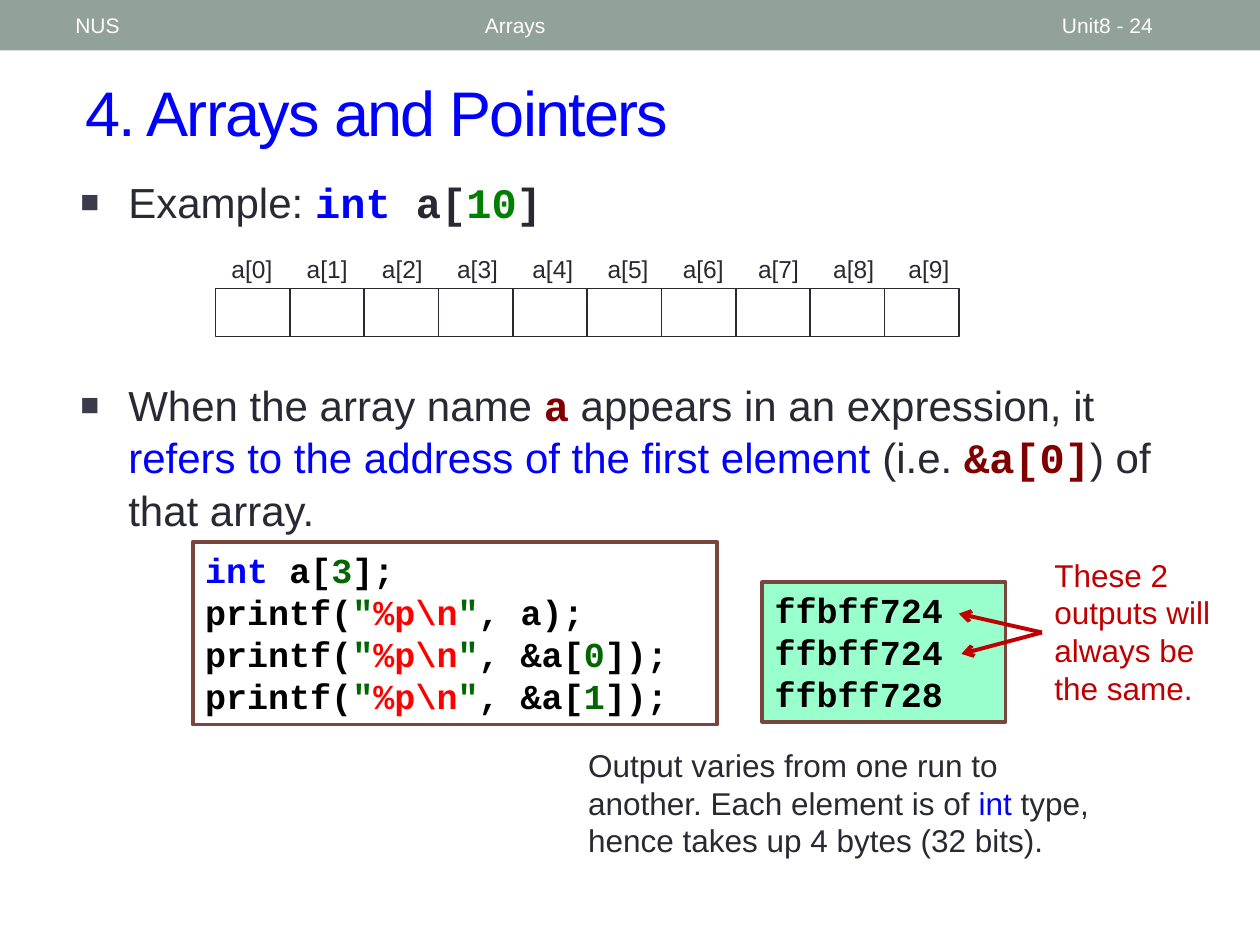
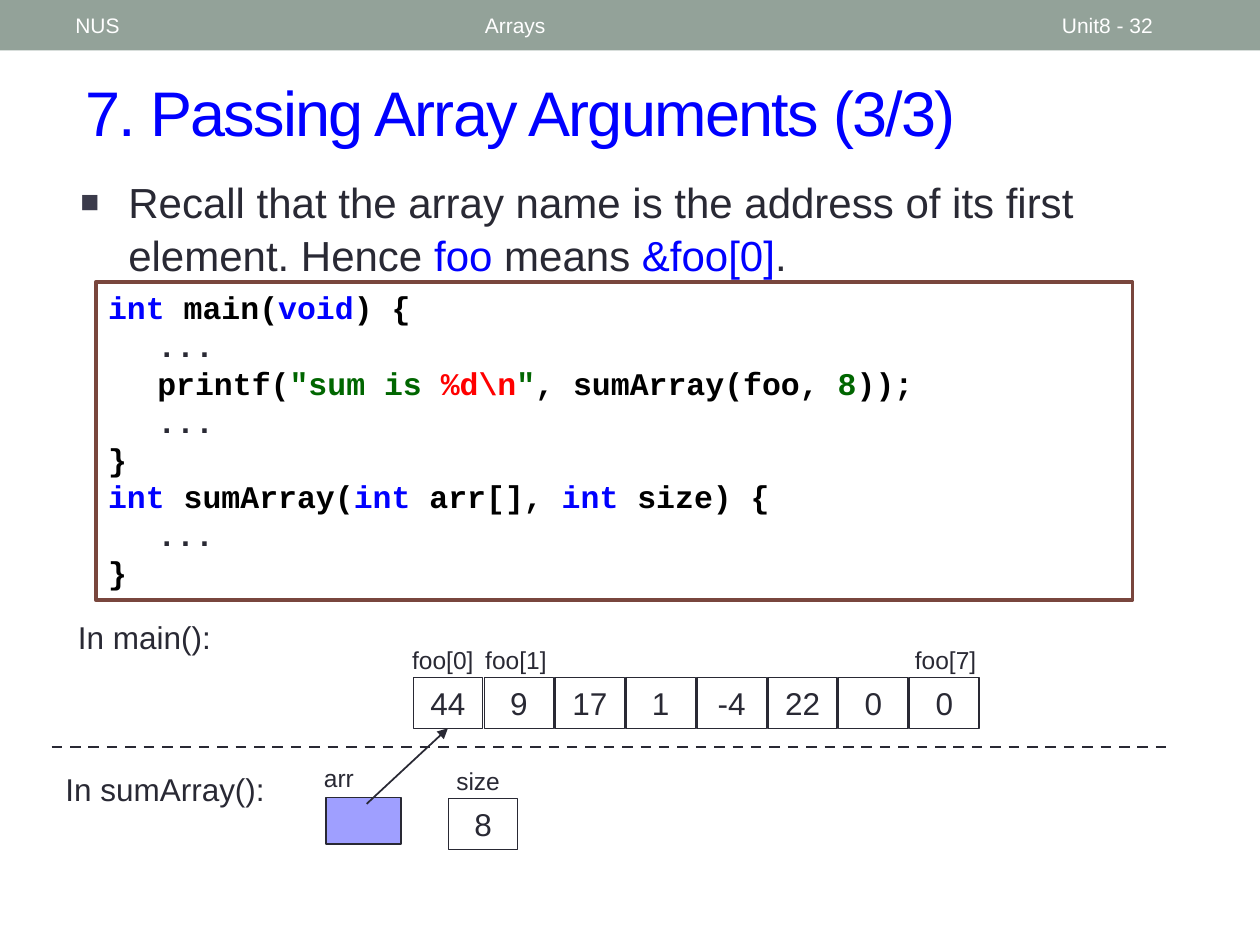
from lxml.etree import SubElement
from pptx import Presentation
from pptx.dml.color import RGBColor
from pptx.enum.dml import MSO_LINE_DASH_STYLE as DASH
from pptx.enum.shapes import MSO_CONNECTOR, MSO_SHAPE
from pptx.enum.text import MSO_ANCHOR as ANCHOR, PP_ALIGN as ALIGN
from pptx.oxml.ns import qn
from pptx.util import Inches, Pt

INK, BLUE, WHITE, BLACK = "292934", "0000FF", "FFFFFF", "000000"
BAND, BULLET, FRAME = "93A299", "3B3B4B", "79463D"
GREEN, LIME, RED, MAROON, CRIMSON = "006600", "008000", "FF0000", "800000", "C00000"
MINT, LILAC = "99FFCC", "9F9FFF"
SANS, MONO = "Arial", "Courier New"
BOTTOM = 2


def rgb(value):
    return RGBColor.from_string(value)


def inches(*values):
    return [Inches(v) for v in values]


def add_runs(p, runs, size, color=INK, font=SANS, bold=False):
    """Each run is plain text, (text, color) or (text, color, font); fixed-width runs are bold."""
    for run in runs:
        text, *style = (run,) if isinstance(run, str) else run
        run_color = style[0] if style else color
        run_font = style[1] if len(style) > 1 else font
        r = p.add_run()
        r.text = text
        formats = {"size": Pt(size), "name": run_font, "bold": bold or run_font == MONO}
        for name, value in formats.items():
            setattr(r.font, name, value)
        r.font.color.rgb = rgb(run_color)


def fill_text(sp, paragraphs, size, align=ALIGN.LEFT, anchor=ANCHOR.TOP, wrap=True, tabs=(), **style):
    tf = sp.text_frame
    tf.word_wrap, tf.vertical_anchor = wrap, anchor
    for i, runs in enumerate(paragraphs):
        p = tf.add_paragraph() if i else tf.paragraphs[0]
        if tabs:
            tab_list = SubElement(p._p.get_or_add_pPr(), qn("a:tabLst"))
            for pos in tabs:
                SubElement(tab_list, qn("a:tab"), pos=str(Inches(pos)), algn="l")
        p.alignment = align
        add_runs(p, runs, size, **style)


def add_text(slide, box, runs, size, **style):
    sp = slide.shapes.add_textbox(*inches(*box))
    fill_text(sp, [runs], size, **style)
    return sp


def add_label(slide, box, text):
    add_text(slide, box, [text], 14, align=ALIGN.CENTER, wrap=False)


def add_rect(slide, box, fill=None, line=None, width=1):
    sp = slide.shapes.add_shape(MSO_SHAPE.RECTANGLE, *inches(*box))
    sp.shadow.inherit = False
    if fill:
        sp.fill.solid()
        sp.fill.fore_color.rgb = rgb(fill)
    else:
        sp.fill.background()
    if line:
        sp.line.color.rgb = rgb(line)
        sp.line.width = Pt(width)
    else:
        sp.line.fill.background()
    return sp


def add_line(slide, start, end, color=INK, width=1.0, arrow=None, dash=None):
    cx = slide.shapes.add_connector(MSO_CONNECTOR.STRAIGHT, *inches(*start, *end))
    cx.line.color.rgb = rgb(color)
    cx.line.width = Pt(width)
    if dash:
        cx.line.dash_style = dash
    if arrow:
        SubElement(cx.line._get_or_add_ln(), qn("a:tailEnd"), type=arrow)
    SubElement(cx._element.spPr, qn("a:effectLst"))
    return cx


def add_value_cell(slide, left, top, value):
    sp = add_rect(slide, (left, top, 0.55, 0.4), WHITE, INK, 0.75)
    fill_text(sp, [[value]], 18, align=ALIGN.CENTER, anchor=ANCHOR.MIDDLE)
    return sp


def add_code(slide, box, lines, size, tabs, fill=WHITE):
    sp = add_rect(slide, box, fill, FRAME, 2.08)
    fill_text(sp, lines, size, tabs=tabs, color=BLACK, font=MONO)


def add_bullet(slide, box, runs):
    sp = add_text(slide, box, runs, 24)
    p = sp.text_frame.paragraphs[0]
    p.line_spacing = 1.05
    pPr = p._p.get_or_add_pPr()
    pPr.set("marL", str(Inches(0.38)))
    pPr.set("indent", str(Inches(-0.38)))
    SubElement(SubElement(pPr, qn("a:buClr")), qn("a:srgbClr"), val=BULLET)
    SubElement(pPr, qn("a:buSzPct"), val="75000")
    SubElement(pPr, qn("a:buFont"), typeface=SANS)
    SubElement(pPr, qn("a:buChar"), char="■")


def add_page(prs, title, number):
    """Start a slide with the header band and the title."""
    slide = prs.slides.add_slide(prs.slide_layouts[6])
    add_rect(slide, (0, 0, 10, 0.4), BAND)
    for left, width, text in ((0.5, 3.17, "NUS"), (3.75, 4.5, "Arrays"),
                              (8.33, 1.17, f"Unit8 - {number}")):
        add_text(slide, (left, 0.02, width, 0.36), [text], 12, color=WHITE, anchor=ANCHOR.MIDDLE)
    sp = add_text(slide, (0.58, 0.42, 9.17, 0.92), [title], 36, color=BLUE, anchor=ANCHOR.MIDDLE)
    sp.text_frame.paragraphs[0].runs[0].font._element.set("spc", "-100")
    return slide


def add_index_strip(slide, left, top, count=10):
    for i in range(count):
        add_label(slide, (left + 0.02 + 0.597 * i, top, 0.54, 0.34), f"a[{i}]")
    for i in range(count):
        add_rect(slide, (left + 0.59 * i, top + 0.32, 0.59, 0.38), line=INK)


def printf_line(*args):
    return ["printf(", ('"', GREEN), ("%p\\n", RED), ('"', GREEN), ", ", *args, ");"]


def add_address_demo(slide, left, top):
    """Code, its output, and the remarks on the output."""
    tabs = (0.38, 0.75, 1.13)
    code = [[("int", BLUE), " a[", ("3", GREEN), "];"], printf_line("a")]
    code += [printf_line("&a[", (index, GREEN), "]") for index in "01"]
    add_code(slide, (left, top, 4.16, 1.45), code, 20, tabs)
    output = [["ffbff724"], ["ffbff724"], ["ffbff728"]]
    add_code(slide, (left + 4.52, top + 0.32, 1.93, 1.11), output, 20, tabs, MINT)
    add_text(slide, (left + 3.04, top + 1.57, 4.34, 1.01),
             ["Output varies from one run to another. Each element is of ", ("int ", BLUE),
              "type, hence takes up 4 bytes (32 bits)."], 18)
    remark_x = left + 6.74
    for dx, dy in ((6.08, 0.57), (6.1, 0.89)):
        add_line(slide, (remark_x, top + 0.72), (left + dx, top + dy), CRIMSON, 2.25, "arrow")
    add_text(slide, (remark_x, top + 0.06, 1.45, 1.31),
             ["These 2 outputs will always be the same."], 18, color=CRIMSON)


def add_main_memory(slide, left, top, values):
    """Draw the array foo and return its first cell."""
    add_text(slide, (left, top, 1.41, 0.4), ["In main():"], 18)
    for dx, width, index in ((2.63, 0.73, 0), (3.23, 0.69, 1), (6.59, 0.79, 7)):
        add_label(slide, (left + dx, top + 0.21, width, 0.34), f"foo[{index}]")
    pitch = 3.94 / 7
    cells = [add_value_cell(slide, left + 2.76 + pitch * i, top + 0.52, value)
             for i, value in enumerate(values)]
    return cells[0]


def add_sum_memory(slide, left, top, target):
    """Draw the parameters of sumArray, with arr pointing at the target cell."""
    add_text(slide, (left, top + 0.05, 1.81, 0.4), ["In sumArray():"], 18)
    add_label(slide, (left + 2, top, 0.54, 0.34), "arr")
    add_rect(slide, (left + 2.17, top + 0.32, 0.59, 0.37), LILAC, INK)
    pointer = add_line(slide, (left + 2.49, top + 0.37), (left + 3.14, top - 0.23), arrow="triangle")
    pointer.end_connect(target, BOTTOM)
    add_label(slide, (left + 3.01, top + 0.02, 0.73, 0.34), "size")
    add_value_cell(slide, left + 3.14, top + 0.33, "8")


def build_pointers(prs):
    slide = add_page(prs, "4. Arrays and Pointers", 24)
    add_bullet(slide, (0.54, 1.33, 8.89, 0.73),
               ["Example: ", ("int ", BLUE, MONO), ("a[", INK, MONO), ("10", LIME, MONO),
                ("]", INK, MONO)])
    add_index_strip(slide, 1.71, 1.97)
    add_bullet(slide, (0.54, 2.94, 8.89, 1.33),
               ["When the array name ", ("a", MAROON, MONO), " appears in an expression, it ",
                ("refers to the address of the first element ", BLUE), "(i.e. ",
                ("&a[0]", MAROON, MONO), ") of that array."])
    add_address_demo(slide, 1.53, 4.3)


def build_arguments(prs):
    slide = add_page(prs, "7. Passing Array Arguments (3/3)", 32)
    add_bullet(slide, (0.54, 1.33, 8.89, 0.91),
               ["Recall that the array name is the address of its first element. Hence ",
                ("foo", BLUE), " means ", ("&foo[0]", BLUE), "."])
    dots = [("\t...", INK)]
    code = [
        [("int", BLUE), " main(", ("void", BLUE), ") {"],
        dots,
        ["\tprintf(", ('"sum is ', GREEN), ("%d\\n", RED), ('"', GREEN), ", sumArray(foo, ",
         ("8", GREEN), "));"],
        dots,
        ["}"],
        [("int ", BLUE), "sumArray(", ("int ", BLUE), "arr[], ", ("int", BLUE), " size) {"],
        dots,
        ["}"],
    ]
    add_code(slide, (0.76, 2.24, 8.23, 2.52), code, 18, (0.39, 0.79))
    values = ["44", "9", "17", "1", "-4", "22", "0", "0"]
    first_cell = add_main_memory(slide, 0.52, 4.86, values)
    add_sum_memory(slide, 0.42, 6.01, first_cell)
    add_line(slide, (0.41, 5.93), (9.27, 5.93), width=1.5, dash=DASH.DASH)


def main():
    prs = Presentation()
    prs.slide_width, prs.slide_height = inches(10, 7.5)
    build_pointers(prs)
    build_arguments(prs)
    prs.save("out.pptx")


if __name__ == "__main__":
    main()
